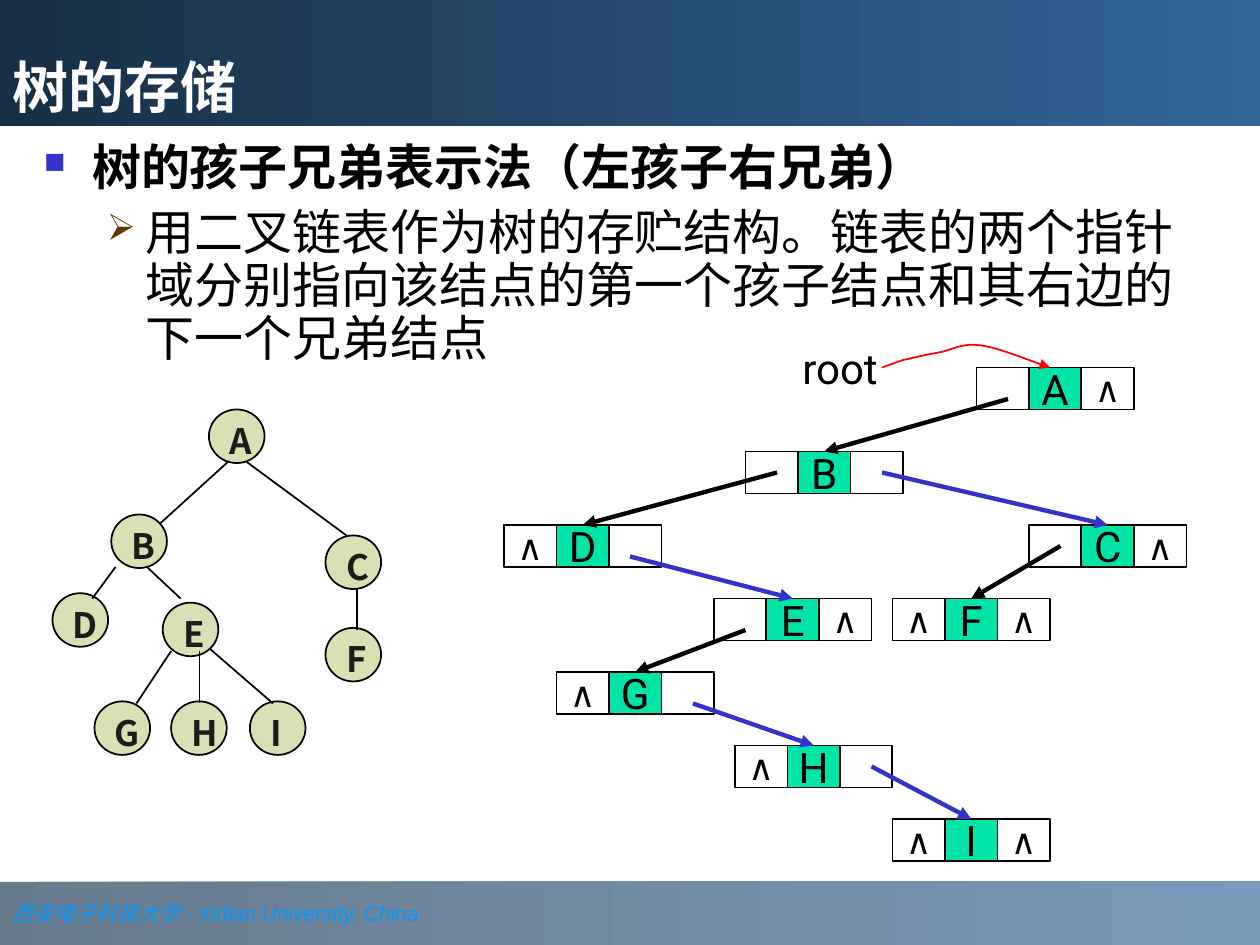
import pptx
import pptx.util
import pptx.dml.color
import pptx.enum.shapes
import pptx.enum.text
import pptx.oxml.ns
from lxml import etree

TITLE = "树的存储"
FOOT = [("西安电子科技大学 ", "Times New Roman"),
        ("- Xidian University, China", "Arial")]
POINTS = [
    dict(text="树的孩子兄弟表示法（左孩子右兄弟）", face="Roboto", bold=True,
         mark="■", tint="3333CC", size=60, left=46, hang=46, gap=0),
    dict(text="用二叉链表作为树的存贮结构。链表的两个指针域分别指向该结点的"
              "第一个孩子结点和其右边的下一个兄弟结点",
         face="Noto Sans CJK SC", bold=False,
         mark="➢", tint="663300", size=75, left=97, hang=37, gap=7),
]
# Tree: top left of each node, then the two ends of each branch
NODES = dict(A=(199, 390), B=(106, 490), C=(310, 510), D=(50, 565),
             E=(155, 574), F=(310, 598), G=(90, 668), H=(163, 668),
             I=(238, 668))
EDGES = [(217, 440, 152, 499), (110, 540, 88, 570), (140, 540, 172, 570),
         (235, 440, 330, 510), (163, 620, 130, 670), (200, 618, 260, 670),
         (190, 620, 190, 670), (340, 560, 340, 600)]
# Linked list: top left of each record, left and right field
NIL = "∧"
CELLS = dict(A=(930, 350, "", NIL), B=(710, 430, "", ""),
             C=(980, 500, "", NIL), D=(480, 500, NIL, ""),
             E=(680, 570, "", NIL), F=(850, 570, NIL, NIL),
             G=(530, 640, NIL, ""), H=(700, 710, NIL, ""),
             I=(850, 780, NIL, NIL))
CHILD = [(960, 380, "B"), (740, 450, "D"), (1010, 520, "F"), (710, 600, "G")]
NEXT = [(840, 450, "C"), (600, 530, "E"), (660, 670, "H"), (830, 730, "I")]
CURVE = [(840, 350), (846, 348), (851, 346), (860, 343), (869, 341),
         (881, 338), (893, 336), (906, 334), (916, 326), (934, 329),
         (952, 331), (989, 347), (1000, 350)]

THEME = dict(ink="000000", node="DBE0B4", label="1C1C1C", cell="00E4A8",
             next="3333CC", root="FF0000", title="FFFFFF", foot="0099FF",
             dark="172F46", dim="1B3753", light="336699",
             head=32, body=28, key=24, nil=20, small=12,
             main="Roboto", cjk="Noto Sans CJK SC")
UNIT = 7620  # EMU in one px, 120 px to the inch
NODE_W, NODE_H = 53, 51
CELL_W, CELL_H = 50, 40

SHAPE = pptx.enum.shapes.MSO_SHAPE
ALIGN = pptx.enum.text.PP_ALIGN
ANCHOR = pptx.enum.text.MSO_ANCHOR


def px(*vals):
    return [pptx.util.Emu(round(v * UNIT)) for v in vals]


def rgb(name):
    return pptx.dml.color.RGBColor.from_string(THEME.get(name, name))


def add_tag(parent, tag, **attrs):
    return etree.SubElement(parent, pptx.oxml.ns.qn("a:" + tag), attrs)


def write(para, text, size, color, face=THEME["main"], **font):
    run = para.add_run()
    run.text = text
    look = dict(size=pptx.util.Pt(THEME[size]), name=face, **font)
    for key, val in look.items():
        setattr(run.font, key, val)
    run.font.color.rgb = rgb(color)
    add_tag(run._r.get_or_add_rPr(), "ea", typeface=THEME["cjk"])


def set_frame(frame, anchor, pad=(12, 6, 12, 6), wrap=True):
    sides = ("margin_left", "margin_top", "margin_right", "margin_bottom")
    look = dict(zip(sides, px(*pad)), vertical_anchor=anchor, word_wrap=wrap,
                auto_size=pptx.enum.text.MSO_AUTO_SIZE.NONE)
    for key, val in look.items():
        setattr(frame, key, val)
    return frame.paragraphs[0]


def shade(shape, left, right, alpha=None):
    shape.fill.gradient()
    shape.fill.gradient_angle = 0
    for stop, color in zip(shape.fill.gradient_stops, (left, right)):
        stop.color.rgb = rgb(color)
    if alpha:
        for node in shape._element.spPr.iter(pptx.oxml.ns.qn("a:srgbClr")):
            add_tag(node, "alpha", val=str(alpha * 1000))


def stroke(item, color, width, arrow=False):
    item.line.color.rgb = rgb(color)
    item.line.width = pptx.util.Pt(width)
    if arrow:
        add_tag(item.line._get_or_add_ln(), "tailEnd", type="triangle")


def add_box(slide, kind, box, fill=None):
    shape = slide.shapes.add_shape(kind, *px(*box))
    shape.shadow.inherit = False
    if fill:
        shape.fill.solid()
        shape.fill.fore_color.rgb = rgb(fill)
    else:
        shape.fill.background()
    stroke(shape, "ink", 1)
    return shape


def add_line(slide, ends, color="ink", width=1, arrow=False):
    line = slide.shapes.add_connector(
        pptx.enum.shapes.MSO_CONNECTOR.STRAIGHT, *px(*ends))
    stroke(line, color, width, arrow)
    add_tag(line._element.spPr, "effectLst")
    return line


def add_text(slide):
    title = slide.shapes.title
    title.left, title.top, title.width, title.height = px(0, 0, 1200, 120)
    shade(title, "dark", "light")
    para = set_frame(title.text_frame, ANCHOR.BOTTOM)
    para.alignment = ALIGN.LEFT
    write(para, TITLE, "head", "title", bold=True)

    foot = add_box(slide, SHAPE.RECTANGLE, (0, 840, 1200, 60))
    foot.line.fill.background()
    shade(foot, "dim", "light", 66)
    para = set_frame(foot.text_frame, ANCHOR.MIDDLE)
    para.alignment = ALIGN.LEFT
    for text, face in FOOT:
        write(para, text, "small", "foot", face, italic=True)

    frame = slide.shapes.add_textbox(*px(30, 130, 1140, 240)).text_frame
    para = set_frame(frame, ANCHOR.TOP)
    for level, item in enumerate(POINTS):
        if level:
            para = frame.add_paragraph()
        para.level, para.line_spacing = level, 0.9
        para.space_before = pptx.util.Pt(item["gap"])
        prop = para._p.get_or_add_pPr()
        left, hang = px(item["left"], item["hang"])
        prop.set("marL", str(left))
        prop.set("indent", str(-hang))
        add_tag(add_tag(prop, "buClr"), "srgbClr", val=item["tint"])
        add_tag(prop, "buSzPct", val=str(item["size"] * 1000))
        add_tag(prop, "buChar", char=item["mark"])
        write(para, item["text"], "body", "ink", item["face"],
              bold=item["bold"])


def add_tree(slide):
    for name, spot in NODES.items():
        node = add_box(slide, SHAPE.OVAL, (*spot, NODE_W, NODE_H), "node")
        para = set_frame(node.text_frame, ANCHOR.MIDDLE, (12, 8, 0, 0))
        para.alignment = ALIGN.LEFT
        write(para, name, "nil", "label", THEME["cjk"], bold=True)
    for ends in EDGES:
        add_line(slide, ends)


def add_list(slide):
    keys = {}
    for name, (x, y, left, right) in CELLS.items():
        for col, text in enumerate((left, name, right)):
            mid = col == 1
            cell = add_box(slide, SHAPE.RECTANGLE,
                           (x + col * CELL_W, y, CELL_W, CELL_H),
                           "cell" if mid else None)
            if mid:
                keys[name] = cell
            if text:
                para = set_frame(cell.text_frame, ANCHOR.MIDDLE, wrap=False)
                para.alignment = ALIGN.CENTER
                write(para, text, "key" if mid else "nil", "ink")
    for links, color in ((CHILD, "ink"), (NEXT, "next")):
        for x, y, name in links:
            line = add_line(slide, (x, y, x, y), color, 2.5, True)
            line.end_connect(keys[name], 0)


def add_root(slide):
    box = slide.shapes.add_textbox(*px(730, 320, 140, 60))
    para = set_frame(box.text_frame, ANCHOR.TOP)
    para.alignment = ALIGN.CENTER
    write(para, "root", "key", "ink")

    steps = 8
    dots = []
    for i in range(0, len(CURVE) - 1, 3):
        for t in (n / steps for n in range(1, steps + 1)):
            mix = ((1 - t) ** 3, 3 * t * (1 - t) ** 2,
                   3 * t * t * (1 - t), t ** 3)
            dots.append(px(*(sum(m * p[axis] for m, p in
                                 zip(mix, CURVE[i:i + 4]))
                             for axis in (0, 1))))
    path = slide.shapes.build_freeform(*px(*CURVE[0]))
    path.add_line_segments(dots, close=False)
    curve = path.convert_to_shape()
    curve.shadow.inherit = False
    curve.fill.background()
    stroke(curve, "root", 1, True)


def main():
    deck = pptx.Presentation()
    deck.slide_width, deck.slide_height = px(1200, 900)
    slide = deck.slides.add_slide(deck.slide_layouts[5])
    for draw in (add_text, add_tree, add_list, add_root):
        draw(slide)
    deck.save("out.pptx")


if __name__ == "__main__":
    main()
